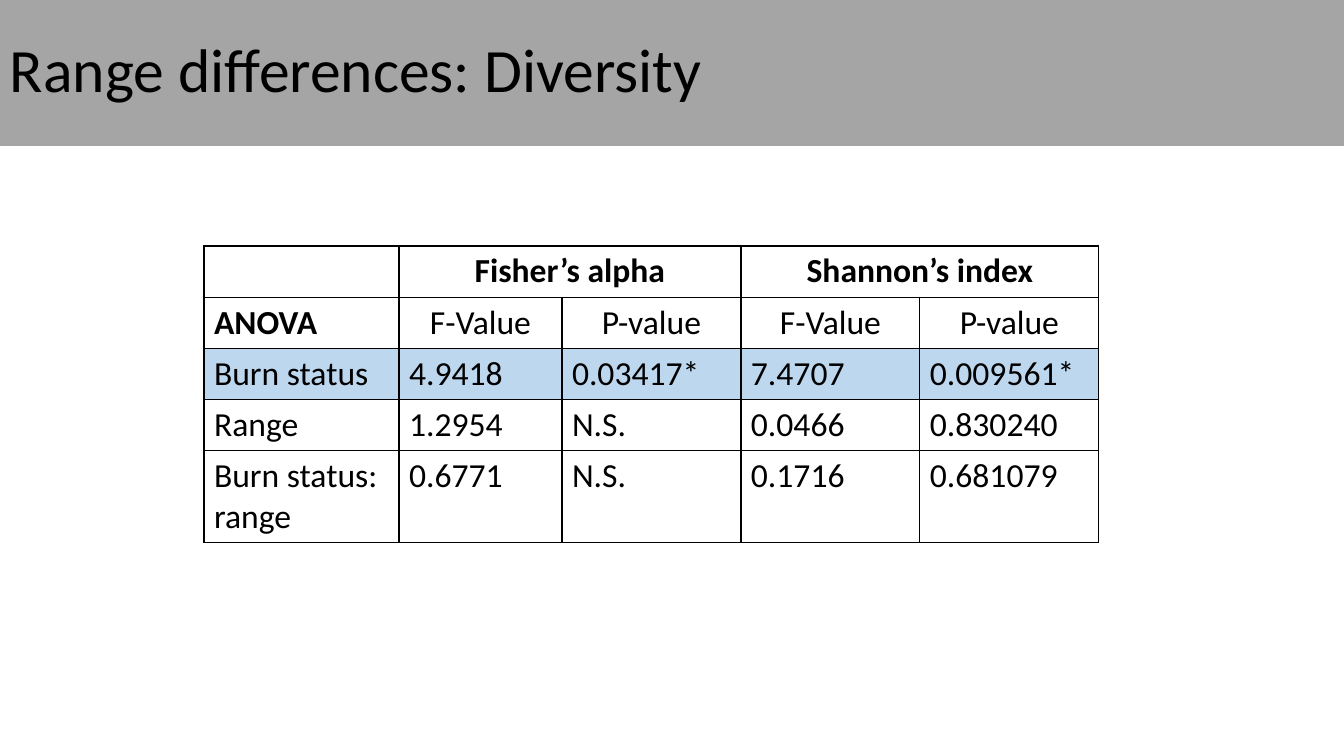
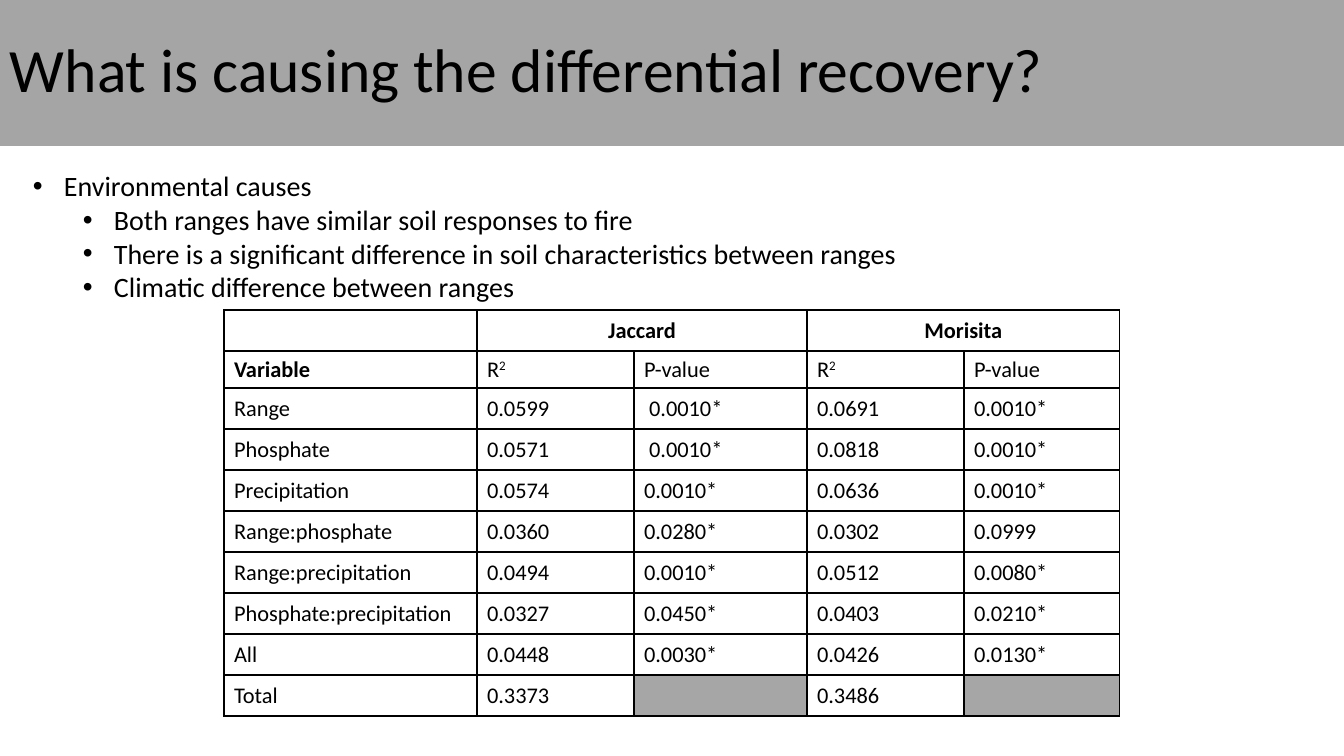
"""Build two slides on burn recovery: range diversity and the causes of recovery."""
from dataclasses import dataclass
from typing import Any, Optional

from lxml.etree import SubElement
from pptx import Presentation
from pptx.dml.color import RGBColor
from pptx.enum.shapes import MSO_SHAPE
from pptx.enum.text import MSO_ANCHOR, MSO_AUTO_SIZE, PP_ALIGN
from pptx.oxml import parse_xml
from pptx.oxml.ns import nsdecls, qn
from pptx.util import Emu, Pt

EMU_PER_PX = 914400 / 100.8
SLIDE_WIDTH, SLIDE_HEIGHT = 1344, 756
BAND_HEIGHT = 146
FONT = "Calibri"
BLACK = RGBColor(0x00, 0x00, 0x00)
WHITE = RGBColor(0xFF, 0xFF, 0xFF)
BAND_GREY = RGBColor(0xA5, 0xA5, 0xA5)
UNUSED_GREY = RGBColor(0xA6, 0xA6, 0xA6)
SIGNIFICANT_BLUE = RGBColor(0xBD, 0xD7, 0xEE)


@dataclass(frozen=True)
class ResultTable:
    left: int
    top: int
    columns: list[int]
    heights: list[int]
    size: int
    rows: list[list[str]]
    subhead_align: PP_ALIGN
    body_anchor: MSO_ANCHOR
    fill: Optional[RGBColor]
    highlights: dict[tuple[int, int], RGBColor]


@dataclass(frozen=True)
class Bullet:
    text: str
    level: int = 0


DIVERSITY = ResultTable(
    left=204, top=246,
    columns=[195, 163, 179, 179, 179],
    heights=[51] * 4 + [92],
    size=24,
    rows=[
        ["", "Fisher’s alpha", "", "Shannon’s index", ""],
        ["ANOVA", "F-Value", "P-value", "F-Value", "P-value"],
        ["Burn status", "4.9418", "0.03417*", "7.4707", "0.009561*"],
        ["Range", "1.2954", "N.S.", "0.0466", "0.830240"],
        ["Burn status: range", "0.6771", "N.S.", "0.1716", "0.681079"],
    ],
    subhead_align=PP_ALIGN.CENTER,
    body_anchor=MSO_ANCHOR.TOP,
    fill=WHITE,
    highlights={(2, column): SIGNIFICANT_BLUE for column in range(5)},
)

RECOVERY = ResultTable(
    left=224, top=310,
    columns=[253, 157, 173, 157, 156],
    heights=[41, 37] + [41] * 8,
    size=16,
    rows=[
        ["", "Jaccard", "", "Morisita", ""],
        ["Variable", "R^2", "P-value", "R^2", "P-value"],
        ["Range", "0.0599", " 0.0010*", "0.0691", "0.0010*"],
        ["Phosphate", "0.0571", " 0.0010*", "0.0818", "0.0010*"],
        ["Precipitation", "0.0574", "0.0010*", "0.0636", "0.0010*"],
        ["Range:phosphate", "0.0360", "0.0280*", "0.0302", "0.0999"],
        ["Range:precipitation", "0.0494", "0.0010*", "0.0512", "0.0080*"],
        ["Phosphate:precipitation", "0.0327", "0.0450*", "0.0403", "0.0210*"],
        ["All", "0.0448", "0.0030*", "0.0426", "0.0130*"],
        ["Total", "0.3373", "", "0.3486", ""],
    ],
    subhead_align=PP_ALIGN.LEFT,
    body_anchor=MSO_ANCHOR.MIDDLE,
    fill=None,
    highlights={(9, 2): UNUSED_GREY, (9, 4): UNUSED_GREY},
)

CAUSES = [
    Bullet("Environmental causes"),
    Bullet("Both ranges have similar soil responses to fire", 1),
    Bullet("There is a significant difference in soil characteristics between ranges", 1),
    Bullet("Climatic difference between ranges", 1),
]


def px(length: int) -> Emu:
    """Turn a pixel length into EMU."""
    return Emu(round(length * EMU_PER_PX))


def apply_format(target: Any, values: dict[str, Any]) -> None:
    """Set each named attribute on the target."""
    for name, value in values.items():
        setattr(target, name, value)


def add_run(paragraph: Any, text: str, size: int, bold: bool = False) -> Any:
    """Add a run in the deck's font and colour."""
    run = paragraph.add_run()
    run.text = text
    apply_format(run.font, {"name": FONT, "size": Pt(size), "bold": bold})
    run.font.color.rgb = BLACK
    return run


def add_title_slide(deck: Any, title: str) -> Any:
    """Add a blank slide headed by the grey title band."""
    slide = deck.slides.add_slide(deck.slide_layouts[6])
    band = slide.shapes.add_shape(
        MSO_SHAPE.RECTANGLE, 0, 0, px(SLIDE_WIDTH), px(BAND_HEIGHT))
    band.shadow.inherit = False
    band.fill.solid()
    band.fill.fore_color.rgb = BAND_GREY
    band.line.fill.background()
    apply_format(band.text_frame,
                 {"word_wrap": True, "vertical_anchor": MSO_ANCHOR.MIDDLE})
    heading = band.text_frame.paragraphs[0]
    apply_format(heading, {"alignment": PP_ALIGN.LEFT, "line_spacing": 0.9})
    add_run(heading, title, 44)
    return slide


def add_bullets(slide: Any, bullets: list[Bullet]) -> None:
    """Add the two-level bullet list below the band."""
    frame = slide.shapes.add_textbox(px(23), px(164), px(1298), px(146)).text_frame
    apply_format(frame, {"word_wrap": True,
                         "auto_size": MSO_AUTO_SIZE.SHAPE_TO_FIT_TEXT})
    for index, bullet in enumerate(bullets):
        paragraph = frame.add_paragraph() if index else frame.paragraphs[0]
        paragraph.level = bullet.level
        properties = paragraph._p.get_or_add_pPr()
        properties.set("marL", str(px(31 + 50 * bullet.level)))
        properties.set("indent", str(px(-31)))
        SubElement(properties, qn("a:buFont")).set("typeface", "Arial")
        SubElement(properties, qn("a:buChar")).set("char", "•")
        add_run(paragraph, bullet.text, 20)


def add_borders(cell: Any) -> None:
    """Rule all four sides of a cell."""
    properties = cell._tc.get_or_add_tcPr()
    for position, side in enumerate(("lnL", "lnR", "lnT", "lnB")):
        properties.insert(position, parse_xml(
            f'<a:{side} {nsdecls("a")} w="{Pt(1)}"><a:solidFill>'
            f'<a:srgbClr val="{BLACK}"/></a:solidFill></a:{side}>'))


def fill_cell(cell: Any, spec: ResultTable, row: int, column: int) -> None:
    """Write and format one cell of a result table."""
    color = spec.highlights.get((row, column), spec.fill)
    if color is None:
        cell.fill.background()
    else:
        cell.fill.solid()
        cell.fill.fore_color.rgb = color
    add_borders(cell)
    is_subhead = row == 1 and column > 0
    is_head = row == 0 or is_subhead
    cell.vertical_anchor = MSO_ANCHOR.MIDDLE if is_head else spec.body_anchor
    text = spec.rows[row][column]
    if not text:
        return
    paragraph = cell.text_frame.paragraphs[0]
    if row == 0:
        paragraph.alignment = PP_ALIGN.CENTER
    elif is_subhead:
        paragraph.alignment = spec.subhead_align
    bold = row == 0 or (row == 1 and column == 0)
    base, _, exponent = text.partition("^")
    add_run(paragraph, base, spec.size, bold)
    if exponent:
        raised = add_run(paragraph, exponent, spec.size, bold)
        raised._r.get_or_add_rPr().set("baseline", "30000")


def add_result_table(slide: Any, spec: ResultTable) -> None:
    """Add a ruled table with a header over each pair of value columns."""
    table = slide.shapes.add_table(
        len(spec.heights), len(spec.columns), px(spec.left), px(spec.top),
        px(sum(spec.columns)), px(sum(spec.heights))).table
    apply_format(table, {"first_row": False, "horz_banding": False})
    for column, width in zip(table.columns, spec.columns):
        column.width = px(width)
    for row, height in zip(table.rows, spec.heights):
        row.height = px(height)
    for first in (1, 3):
        table.cell(0, first).merge(table.cell(0, first + 1))
    for row in range(len(spec.heights)):
        for column in range(len(spec.columns)):
            fill_cell(table.cell(row, column), spec, row, column)


def main() -> None:
    """Build and save the deck."""
    deck = Presentation()
    apply_format(deck, {"slide_width": px(SLIDE_WIDTH), "slide_height": px(SLIDE_HEIGHT)})
    diversity = add_title_slide(deck, "Range differences: Diversity")
    add_result_table(diversity, DIVERSITY)
    recovery = add_title_slide(deck, "What is causing the differential recovery?")
    add_bullets(recovery, CAUSES)
    add_result_table(recovery, RECOVERY)
    deck.save("out.pptx")


if __name__ == "__main__":
    main()
